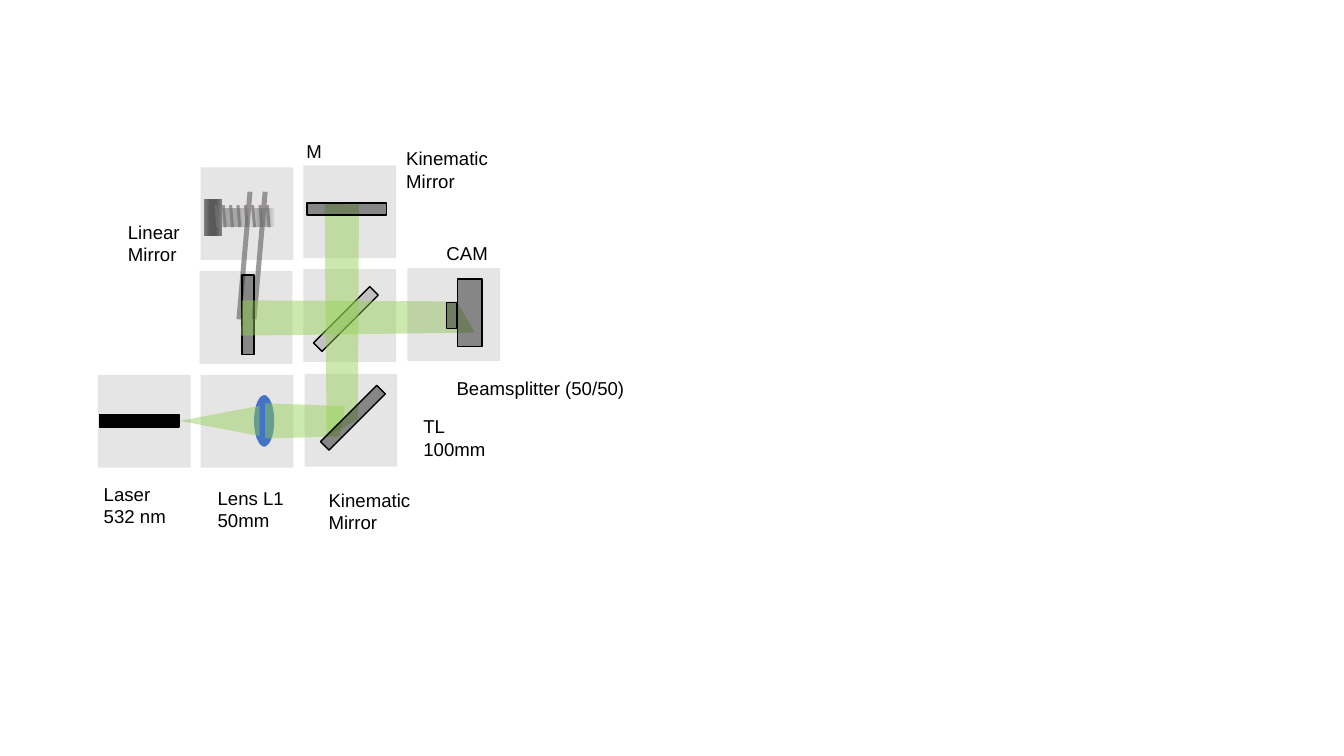
from lxml import etree
from pptx import Presentation
from pptx.dml.color import RGBColor
from pptx.enum.shapes import MSO_SHAPE
from pptx.enum.text import MSO_AUTO_SIZE
from pptx.oxml.ns import qn
from pptx.util import Inches, Pt

RECTANGLE = MSO_SHAPE.RECTANGLE
TRIANGLE = MSO_SHAPE.ISOSCELES_TRIANGLE
CHORD = MSO_SHAPE.CHORD
FIT_SHAPE = MSO_AUTO_SIZE.SHAPE_TO_FIT_TEXT

BLACK = RGBColor(0x00, 0x00, 0x00)
GREY = RGBColor(0x76, 0x71, 0x71)
GREEN = RGBColor(0x92, 0xD0, 0x50)
BLUE = RGBColor(0x44, 0x72, 0xC4)
STEEL_EDGE = RGBColor(0xD9, 0xD9, 0xD9)
STEEL = RGBColor(0xA6, 0xA6, 0xA6)
KNOB_EDGE = RGBColor(0x80, 0x80, 0x80)
KNOB = RGBColor(0x59, 0x59, 0x59)

TILE_SIZE = 0.92
BAR = (0.12, 0.79)


def write_text(frame, text, size=13.3, font="Arial", color=BLACK):
    for index, line in enumerate(text.split("\n")):
        para = frame.paragraphs[0] if index == 0 else frame.add_paragraph()
        span = para.add_run()
        span.text = line
        span.font.size = Pt(size)
        span.font.name = font
        span.font.color.rgb = color


class Sketch:
    font = "Arial"
    text_size = 13.3
    line_width = Pt(1)

    def __init__(self, page):
        self.page = page
        self.shapes = page.shapes

    def open_group(self):
        self.shapes = self.page.shapes.add_group_shape().shapes

    def close_group(self):
        self.shapes = self.page.shapes

    def paint(self, shape, color, opacity=100, outlined=False):
        shape.shadow.inherit = False
        shape.fill.solid()
        shape.fill.fore_color.rgb = color
        if opacity < 100:
            tint = shape._element.spPr.find(qn("a:solidFill"))[0]
            etree.SubElement(tint, qn("a:alpha"), val=str(opacity * 1000))
        if outlined:
            shape.line.color.rgb = BLACK
            shape.line.width = self.line_width
        else:
            shape.line.fill.background()

    def block(self, left, top, width, height, color, kind=RECTANGLE, turn=0, **look):
        shape = self.shapes.add_shape(
            kind, Inches(left), Inches(top), Inches(width), Inches(height))
        shape.rotation = turn
        self.paint(shape, color, **look)
        return shape

    def tile(self, left, top):
        self.block(left, top, TILE_SIZE, TILE_SIZE, GREY, opacity=18)

    def optic(self, left, top, size=BAR, turn=0, opacity=41):
        self.block(left, top, *size, BLACK, turn=turn, opacity=opacity, outlined=True)

    def cylinder(self, left, top, width, height, edge, core):
        shape = self.block(left, top, width, height, core)
        shape.fill.gradient()
        shape.fill.gradient_angle = 0
        stops = shape._element.spPr.find(qn("a:gradFill")).find(qn("a:gsLst"))
        for stop in list(stops):
            stops.remove(stop)
        for place, color in ((0, edge), (34, core), (68, core), (100, edge)):
            stop = etree.SubElement(stops, qn("a:gs"), pos=str(place * 1000))
            etree.SubElement(stop, qn("a:srgbClr"), val=str(color))

    def lens_half(self, turn):
        half = self.block(2.52, 3.92, 0.2, 0.51, BLUE, kind=CHORD, turn=turn)
        half.adjustments[0] = 53.35
        half.adjustments[1] = 164.3

    def beam(self, *corners):
        points = [(Inches(x), Inches(y)) for x, y in corners]
        builder = self.shapes.build_freeform(*points[0], scale=1.0)
        builder.add_line_segments(points[1:], close=True)
        self.paint(builder.convert_to_shape(), GREEN, opacity=45)

    def label(self, text, left, top, width, height=0.55):
        box = self.shapes.add_textbox(
            Inches(left), Inches(top), Inches(width), Inches(height))
        box.text_frame.word_wrap = False
        box.text_frame.auto_size = FIT_SHAPE
        write_text(box.text_frame, text, size=self.text_size, font=self.font)


deck = Presentation()
deck.slide_width = Inches(13.33)
deck.slide_height = Inches(7.5)
sketch = Sketch(deck.slides.add_slide(deck.slide_layouts[6]))

sketch.tile(3.01, 1.64)
sketch.tile(3.01, 2.67)

sketch.open_group()
sketch.tile(1.99, 1.66)
sketch.tile(1.98, 2.69)
sketch.cylinder(2.11, 2.06, 0.38, 0.19, STEEL_EDGE, STEEL)
sketch.cylinder(2.48, 2.06, 0.24, 0.19, STEEL_EDGE, STEEL)
sketch.cylinder(2.02, 1.97, 0.18, 0.37, KNOB_EDGE, KNOB)
for thread in range(8):
    sketch.block(2.04 + 0.51 * thread / 7, 2.13, 0.22, 0.03, GREY, turn=85, opacity=71)
for arm_left in (1.79, 1.94):
    sketch.block(arm_left, 2.51, 1.27, 0.05, GREY, turn=95, opacity=71)
sketch.close_group()

sketch.optic(3.37, 2.77, turn=45, opacity=15)

sketch.open_group()
sketch.tile(1.99, 3.72)
sketch.lens_half(turn=0)
sketch.lens_half(turn=180)
sketch.block(2.03, 3.78, 0.3, 0.79, GREEN, kind=TRIANGLE, turn=270, opacity=45)
sketch.tile(0.97, 3.72)
sketch.optic(1.32, 3.78, turn=90, opacity=100)
sketch.close_group()

sketch.tile(3.02, 3.71)
sketch.beam((3.22, 2.02), (3.24, 4.33), (3.55, 4.16), (3.56, 2.03))
sketch.optic(2.4, 2.73)
sketch.optic(3.38, 1.68, turn=90)
sketch.beam((2.63, 4), (3.42, 4.03), (3.37, 4.33), (2.63, 4.35))
sketch.optic(3.44, 3.75, turn=45)
sketch.beam((2.39, 3.33), (4.71, 3.3), (4.53, 2.99), (2.4, 2.98))

sketch.tile(4.04, 2.66)
sketch.optic(4.43, 3, size=(0.1, 0.26))
sketch.optic(4.54, 2.77, size=(0.24, 0.67))

sketch.label("M", 2.94, 1.34, 0.36, height=0.33)
sketch.label("CAM", 4.33, 2.35, 0.62, height=0.33)
sketch.label("Beamsplitter (50/50)", 4.43, 3.69, 1.89, height=0.33)
for text, left, top, width in (
    ("TL\n100mm", 4.1, 4.07, 0.82),
    ("Kinematic\nMirror", 3.93, 1.41, 1.02),
    ("Linear\nMirror", 1.17, 2.14, 0.72),
    ("Laser\n532 nm", 0.93, 4.74, 0.82),
    ("Lens L1\n50mm", 2.06, 4.78, 0.86),
    ("Kinematic\nMirror", 3.16, 4.8, 1.02),
):
    sketch.label(text, left, top, width)

deck.save("out.pptx")
